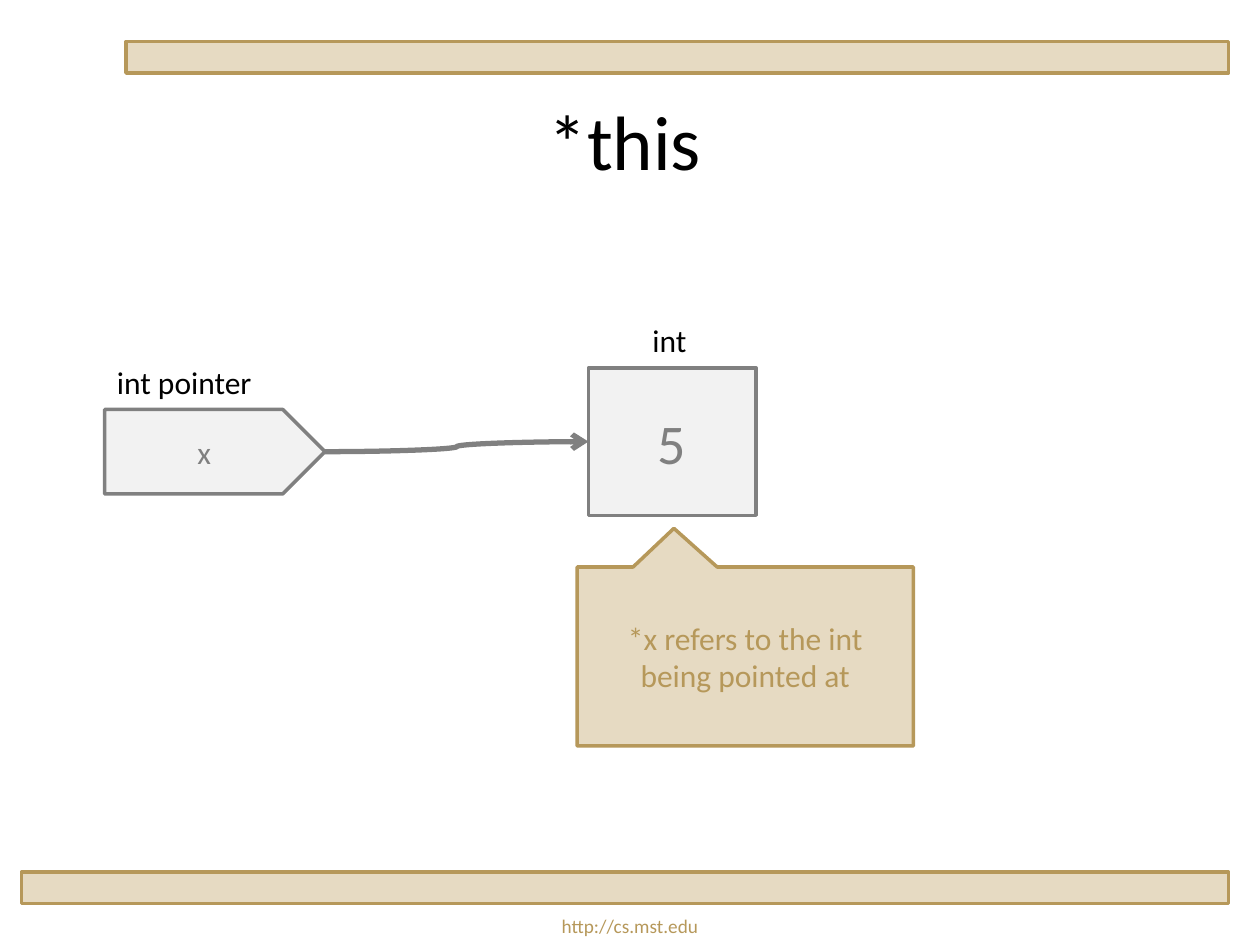
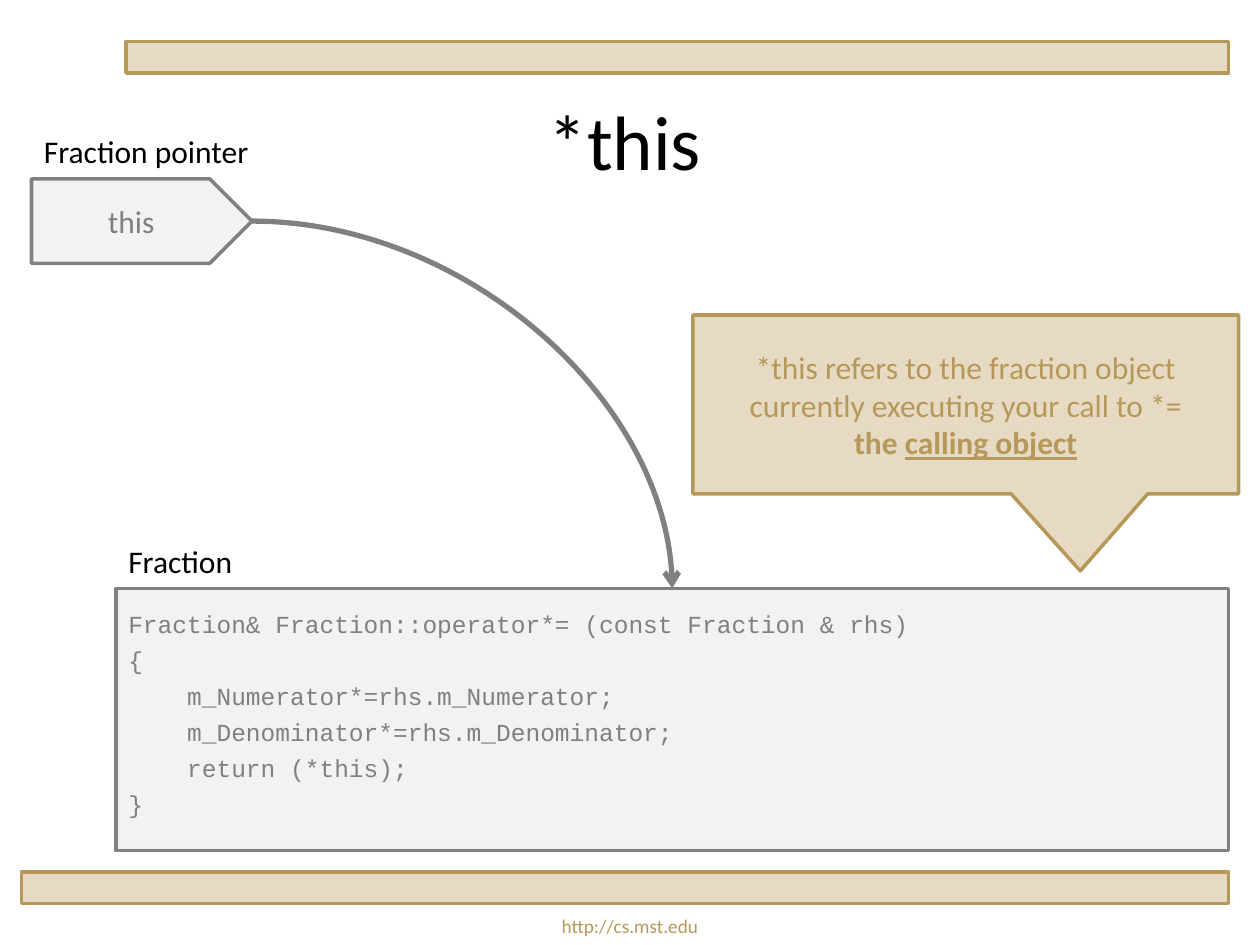
from lxml.etree import SubElement
from pptx import Presentation
from pptx.dml.color import RGBColor
from pptx.enum.shapes import MSO_CONNECTOR, MSO_SHAPE
from pptx.enum.text import MSO_ANCHOR, PP_ALIGN
from pptx.oxml.ns import qn
from pptx.util import Inches, Pt

COLORS = {"sand": "E6DAC2", "gold": "B6985A", "light": "F2F2F2", "gray": "808080", "black": "000000"}
OBJECT = ("light", "gray")
ACCENT = ("sand", "gold")
CODE = [
    "Fraction& Fraction::operator*= (const Fraction & rhs)",
    "{",
    "    m_Numerator*=rhs.m_Numerator;",
    "    m_Denominator*=rhs.m_Denominator;",
    "    return (*this);",
    "}",
]


class SlideBuilder:
    """Hold the shared style and draw elements on the current slide."""

    def __init__(self):
        self.deck = Presentation()
        self.deck.slide_width, self.deck.slide_height = Inches(10), Inches(7.5)
        self.page = None

    def color(self, name):
        return RGBColor.from_string(COLORS[name])

    def new_page(self, title):
        self.page = self.deck.slides.add_slide(self.deck.slide_layouts[6])
        self.shape(MSO_SHAPE.RECTANGLE, (1, 0.33, 8.75, 0.25), ACCENT)
        self.shape(MSO_SHAPE.RECTANGLE, (0.17, 6.92, 9.58, 0.25), ACCENT)
        self.label("http://cs.mst.edu", (0, 7.21, 10, 0.29), 11, "gold", PP_ALIGN.CENTER)
        heading = self.label(title, (0.17, 0.67, 9.58, 0.88), 44, align=PP_ALIGN.CENTER)
        heading.text_frame.vertical_anchor = MSO_ANCHOR.MIDDLE

    def add_text(self, box, lines, size, color, align, font="Calibri"):
        frame = box.text_frame
        frame.word_wrap = True
        for index, runs in enumerate(lines):
            para = frame.add_paragraph() if index else frame.paragraphs[0]
            para.alignment = align
            for text, bold, underline in runs:
                span = para.add_run()
                span.text = text
                span.font.name, span.font.size = font, Pt(size)
                span.font.bold, span.font.underline = bold, underline
                span.font.color.rgb = self.color(color)
        return frame

    def shape(self, kind, area, palette):
        fill, line = palette
        box = self.page.shapes.add_shape(kind, *map(Inches, area))
        box.shadow.inherit = False
        box.fill.solid()
        box.fill.fore_color.rgb = self.color(fill)
        box.line.color.rgb = self.color(line)
        box.line.width = Pt(2)
        return box

    def label(self, text, area, size=18, color="black", align=PP_ALIGN.LEFT):
        box = self.page.shapes.add_textbox(*map(Inches, area))
        self.add_text(box, [[(text, False, False)]], size, color, align)
        return box

    def value(self, kind, text, area, size=18):
        box = self.shape(kind, area, OBJECT)
        self.add_text(box, [[(text, False, False)]], size, "gray", PP_ALIGN.CENTER)
        return box

    def pointer(self, name, caption, left, top):
        self.label(caption, (left, top - 0.42, 2, 0.4))
        return self.value(MSO_SHAPE.PENTAGON, name, (left, top, 1.75, 0.67))

    def callout(self, lines, area, tip):
        box = self.shape(MSO_SHAPE.RECTANGULAR_CALLOUT, area, ACCENT)
        box.adjustments[0], box.adjustments[1] = tip
        self.add_text(box, lines, 18, "gold", PP_ALIGN.CENTER)

    def code(self, lines, area):
        box = self.shape(MSO_SHAPE.RECTANGLE, area, OBJECT)
        runs = [[(line, False, False)] for line in lines]
        frame = self.add_text(box, runs, 14, "gray", PP_ALIGN.LEFT, "Courier New")
        frame.vertical_anchor = MSO_ANCHOR.TOP
        frame.margin_top = Inches(0.16)
        for para in frame.paragraphs[1:]:
            para.space_before = Pt(3.8)
        return box

    def arrow(self, source, target, side, preset):
        curve = self.page.shapes.add_connector(MSO_CONNECTOR.CURVE, 0, 0, 0, 0)
        curve.begin_connect(source, 3)
        curve.end_connect(target, side)
        curve.line.color.rgb = self.color("gray")
        curve.line.width = Pt(3)
        properties = curve._element.spPr
        properties.find(qn("a:prstGeom")).set("prst", preset)
        SubElement(properties.find(qn("a:ln")), qn("a:tailEnd"), type="arrow")
        SubElement(properties, qn("a:effectLst"))


def build_int_page(builder):
    builder.new_page("*this")
    pointer = builder.pointer("x", "int pointer", 0.83, 3.25)
    number = builder.value(MSO_SHAPE.RECTANGLE, "5", (4.67, 2.92, 1.33, 1.17), 32)
    builder.arrow(pointer, number, 1, "curvedConnector3")
    builder.label("int", (5.08, 2.5, 0.5, 0.4))
    note = [[("*x refers to the int being pointed at", False, False)]]
    builder.callout(note, (4.58, 4.5, 2.67, 1.42), (-0.212, -0.716))


def build_fraction_page(builder):
    builder.new_page("*this")
    pointer = builder.pointer("this", "Fraction pointer", 0.25, 1.42)
    fraction = builder.code(CODE, (0.92, 4.67, 8.83, 2.08))
    builder.arrow(pointer, fraction, 0, "curvedConnector2")
    builder.label("Fraction", (0.92, 4.25, 1.17, 0.4))
    note = [
        [("*this refers to the fraction object currently executing your call to *=", False, False)],
        [("the ", True, False), ("calling object", True, True)],
    ]
    builder.callout(note, (5.5, 2.5, 4.33, 1.42), (0.21, 0.93))


def main():
    builder = SlideBuilder()
    build_int_page(builder)
    build_fraction_page(builder)
    builder.deck.save("out.pptx")


if __name__ == "__main__":
    main()
